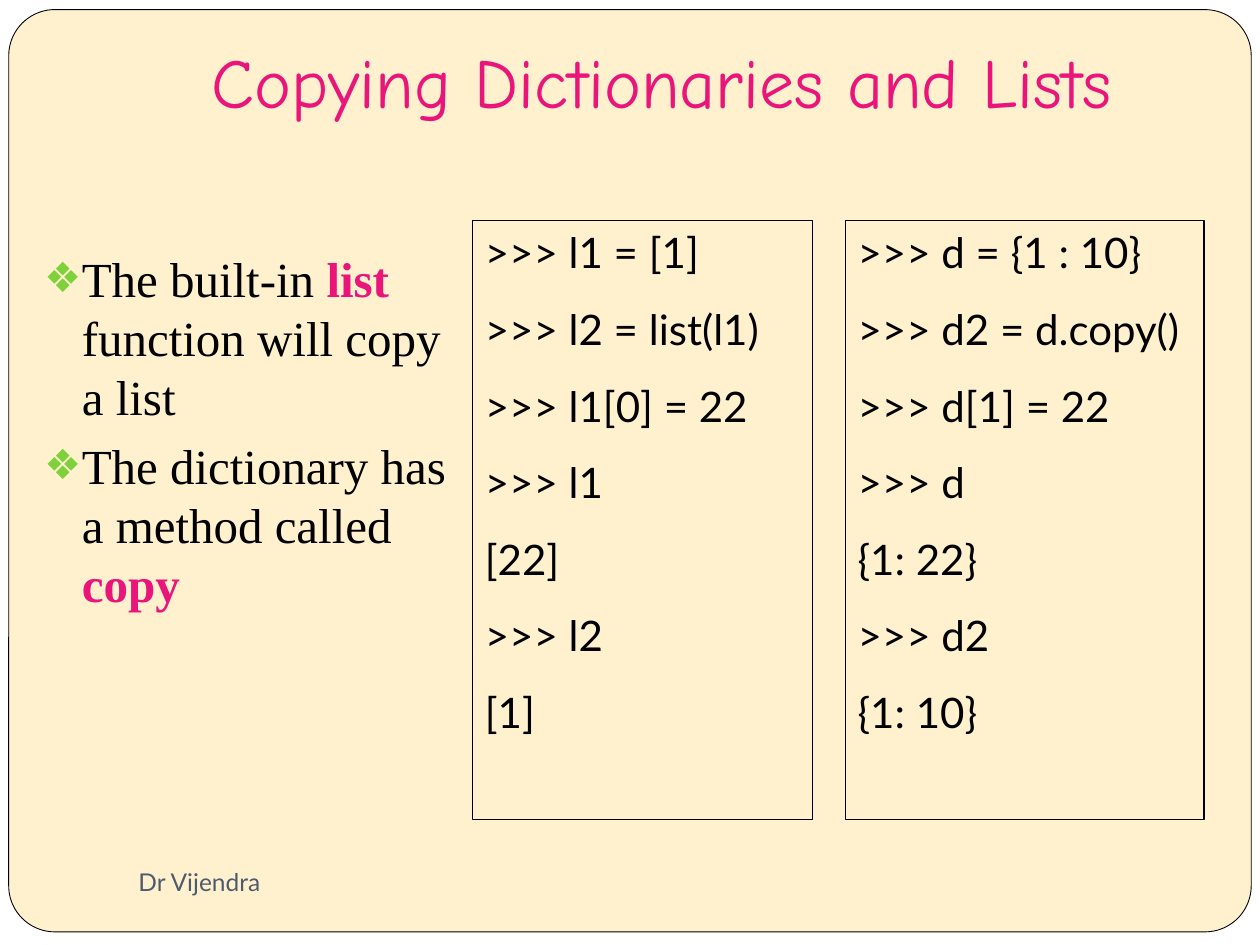
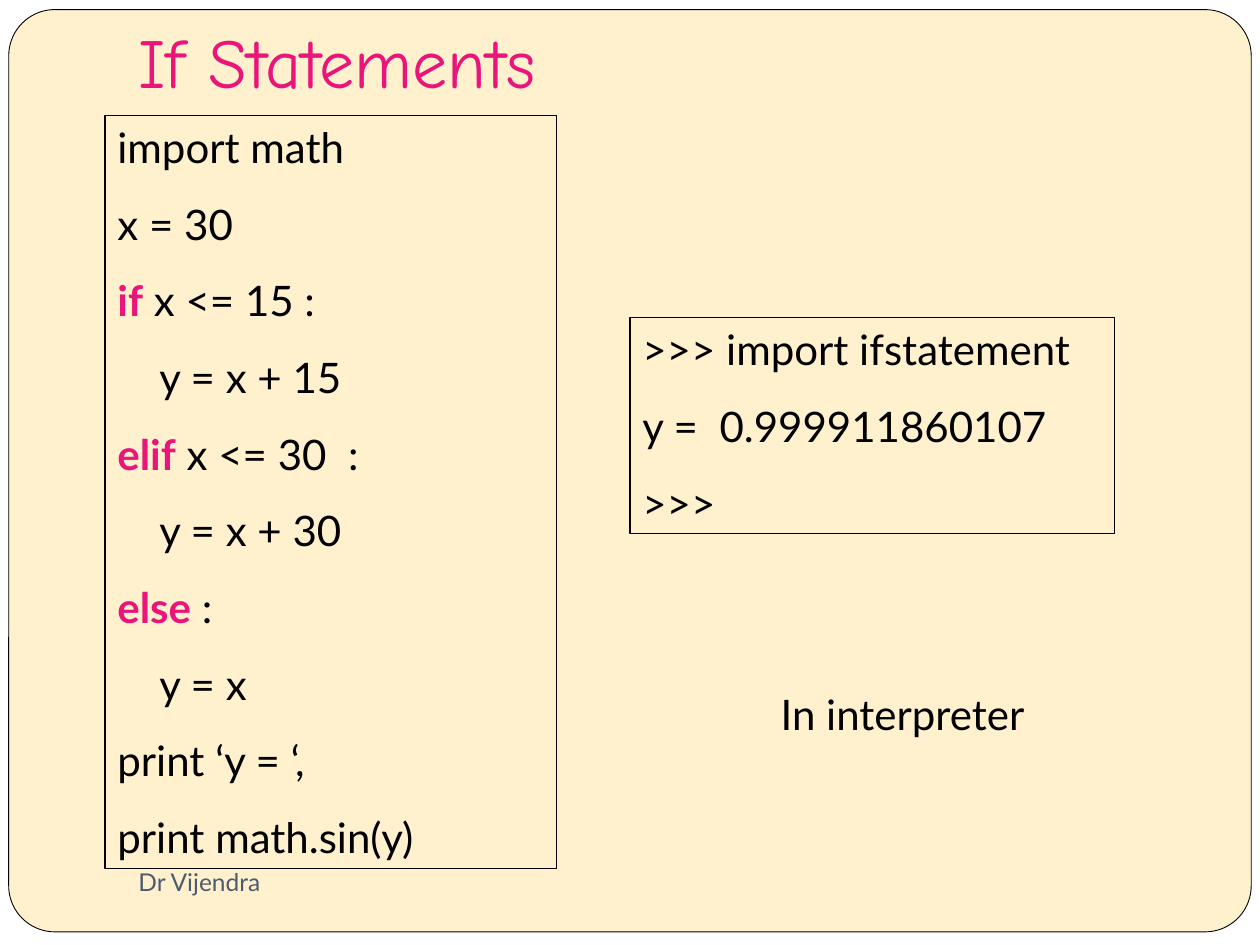
from lxml import etree
from pptx import Presentation
from pptx.dml.color import RGBColor as RGB
from pptx.enum.shapes import MSO_SHAPE as SHAPE
from pptx.enum.text import MSO_ANCHOR as ANCHOR, MSO_AUTO_SIZE as AUTO, PP_ALIGN as ALIGN
from pptx.oxml.ns import qn
from pptx.util import Pt

# Content: *word* marks an emphasised word, a leading tab an indented code line.
# Boxes are left, top, width, height in points.
FOOTER = "Dr Vijendra"
SLIDES = [
    {
        "title": ("Copying Dictionaries and Lists", ALIGN.CENTER, 56),
        "bullets": [
            "The built-in *list* function will copy a list",
            "The dictionary has a method called *copy*",
        ],
        "code": [
            ((270, 126, 194.5, 342.5),
             [">>> l1 = [1]", ">>> l2 = list(l1)", ">>> l1[0] = 22",
              ">>> l1", "[22]", ">>> l2", "[1]"]),
            ((483, 126, 205, 342.5),
             [">>> d = {1 : 10}", ">>> d2 = d.copy()", ">>> d[1] = 22",
              ">>> d", "{1: 22}", ">>> d2", "{1: 10}"]),
        ],
    },
    {
        "title": ("If Statements", ALIGN.LEFT, 44.5),
        "code": [
            ((60, 66, 258, 430.5),
             ["import math", "x = 30", "*if* x <= 15 :", "\ty = x + 15",
              "*elif* x <= 30  :", "\ty = x + 30", "*else* :", "\ty = x",
              "print ‘y = ‘,", "print math.sin(y)"]),
            ((360, 181.5, 277, 123.5),
             [">>> import ifstatement", "y =  0.999911860107", ">>>"]),
        ],
        "caption": ("In interpreter", (439, 390, 167, 36)),
    },
]

# Shared look
COLORS = {"paper": "FFF1CE", "white": "FFFFFF", "ink": "000000",
          "accent": "EA157A", "bullet": "7FD13B", "footer": "4E5B6F"}
TITLE_FONT, CODE_FONT, BODY_FONT = "Comic Neue", "Lato", "Times New Roman"
WIDTH, HEIGHT = 720, 540
CODE_INDENT = 24
BODY_BOX = (18, 138.5, 246, 233)
FOOTER_BOX = (72, 486, 312, 36)


def rgb(name):
    return RGB.from_string(COLORS[name])


def place(sp, box):
    sp.left, sp.top, sp.width, sp.height = map(Pt, box)


def write(sp, lines, size=24, font=CODE_FONT, color="ink", align=ALIGN.LEFT,
          before=15, anchor=ANCHOR.TOP, bottom=3.6, bullet=None):
    """Fill a shape with formatted paragraphs."""
    tf = sp.text_frame
    tf.word_wrap, tf.auto_size, tf.vertical_anchor = True, AUTO.NONE, anchor
    tf.margin_left = tf.margin_right = Pt(7.2)
    tf.margin_top, tf.margin_bottom = Pt(3.6), Pt(bottom)
    for i, line in enumerate(lines):
        p = tf.add_paragraph() if i else tf.paragraphs[0]
        p.alignment, p.space_before = align, Pt(before)
        if line.startswith("\t"):
            p._p.get_or_add_pPr().set("marL", str(Pt(CODE_INDENT)))
        if bullet:
            add_bullet(p, bullet)
        for j, part in enumerate(line.lstrip("\t").split("*")):
            if not part:
                continue
            r = p.add_run()
            r.text = part
            r.font.size, r.font.name = Pt(size), font
            r.font.bold = j % 2 == 1
            r.font.color.rgb = rgb("accent" if j % 2 else color)


def add_bullet(p, char, indent=21.6):
    pPr = p._p.get_or_add_pPr()
    pPr.set("marL", str(Pt(indent)))
    pPr.set("indent", str(-Pt(indent)))
    clr = etree.SubElement(pPr, qn("a:buClr"))
    etree.SubElement(clr, qn("a:srgbClr"), val=COLORS["bullet"])
    etree.SubElement(pPr, qn("a:buSzPct"), val="85000")
    etree.SubElement(pPr, qn("a:buChar"), char=char)


def add_box(slide, kind, box, fill=None, line=None):
    sp = slide.shapes.add_shape(kind, *map(Pt, box))
    sp.shadow.inherit = False
    if fill:
        sp.fill.solid()
        sp.fill.fore_color.rgb = rgb(fill)
    else:
        sp.fill.background()
    if line:
        sp.line.color.rgb = rgb("ink")
        sp.line.width = Pt(line)
    else:
        sp.line.fill.background()
    return sp


def add_text(slide, text, box, **fmt):
    write(slide.shapes.add_textbox(*map(Pt, box)), [text], **fmt)


def build_master(prs, slide):
    """Move the rounded page frame to the master, behind everything."""
    master = prs.slide_master
    master.background.fill.solid()
    master.background.fill.fore_color.rgb = rgb("paper")
    page = add_box(slide, SHAPE.RECTANGLE, (0, 0, WIDTH, HEIGHT), "white")
    frame = add_box(slide, SHAPE.ROUNDED_RECTANGLE, (5, 5.5, 710, 527), "paper", 0.5)
    frame.adjustments[0] = 0.05
    for i, sp in enumerate((page, frame)):
        master.shapes._spTree.insert(2 + i, sp._element)


def build_slide(prs, data):
    bullets = data.get("bullets")
    slide = prs.slides.add_slide(prs.slide_layouts[1 if bullets else 5])

    # Title and list
    text, align, height = data["title"]
    place(slide.shapes.title, (72, 21.5, 612, height))
    write(slide.shapes.title, [text], size=40, font=TITLE_FONT, color="accent",
          align=align, before=0, anchor=ANCHOR.BOTTOM, bottom=7.2)
    if bullets:
        body = slide.placeholders[1]
        place(body, BODY_BOX)
        write(body, bullets, size=28, font=BODY_FONT, before=5.8, bullet="❖")

    # Code boxes, caption and footer
    for box, lines in data["code"]:
        write(add_box(slide, SHAPE.RECTANGLE, box, line=0.75), lines)
    if "caption" in data:
        add_text(slide, *data["caption"])
    add_text(slide, FOOTER, FOOTER_BOX, size=14, color="footer", before=8.8,
             anchor=ANCHOR.MIDDLE)
    return slide


def main():
    prs = Presentation()
    prs.slide_width, prs.slide_height = Pt(WIDTH), Pt(HEIGHT)
    slides = [build_slide(prs, data) for data in SLIDES]
    build_master(prs, slides[0])
    prs.save("out.pptx")


if __name__ == "__main__":
    main()
